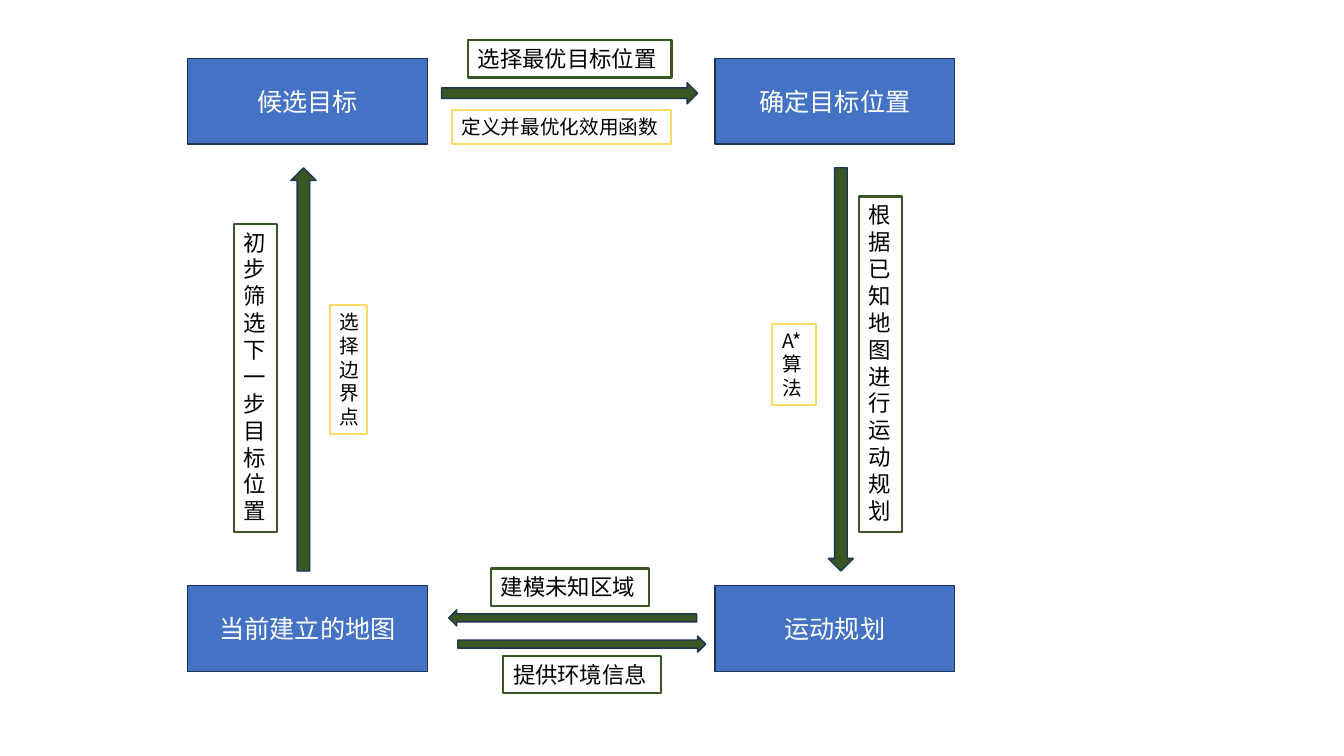
from dataclasses import dataclass

import pptx
import pptx.dml.color
import pptx.enum.shapes
import pptx.enum.text
import pptx.oxml.ns
import pptx.util
from lxml import etree

Inches = pptx.util.Inches
Pt = pptx.util.Pt
Shapes = pptx.enum.shapes.MSO_SHAPE


@dataclass(frozen=True)
class Theme:
    font: str = "Noto Sans CJK SC"
    stage_fill: str = "4472C4"
    outline: str = "1E3256"
    green: str = "385723"
    yellow: str = "FFD966"
    light_text: str = "FFFFFF"
    dark_text: str = "000000"
    stage_size: int = 18
    step_size: int = 16
    method_size: int = 14
    thin_line: float = 1
    label_line: float = 1.5


class LoopDiagram:
    def __init__(self, slide, theme):
        self.slide = slide
        self.theme = theme

    def _shape(self, kind, box, line_color, line_width, fill=None):
        shape = self.slide.shapes.add_shape(kind, *map(Inches, box))
        shape.shadow.inherit = False
        if fill:
            shape.fill.solid()
            shape.fill.fore_color.rgb = pptx.dml.color.RGBColor.from_string(fill)
        else:
            shape.fill.background()
        shape.line.color.rgb = pptx.dml.color.RGBColor.from_string(line_color)
        shape.line.width = Pt(line_width)
        return shape

    def _write(self, shape, text, size, color, alignment, anchor):
        frame = shape.text_frame
        frame.word_wrap = True
        frame.vertical_anchor = anchor
        paragraph = frame.paragraphs[0]
        paragraph.text = text
        paragraph.alignment = alignment
        font = paragraph.font
        font.size = Pt(size)
        font.color.rgb = pptx.dml.color.RGBColor.from_string(color)
        font.name = self.theme.font
        # East Asian text takes its typeface from a:ea, which follows a:latin
        latin = paragraph._p.pPr.find(".//" + pptx.oxml.ns.qn("a:latin"))
        east_asian = etree.Element(pptx.oxml.ns.qn("a:ea"), typeface=self.theme.font)
        latin.addnext(east_asian)

    def stage(self, text, left, top):
        theme = self.theme
        shape = self._shape(Shapes.RECTANGLE, (left, top, 2.38, 0.85),
                            theme.outline, theme.thin_line, theme.stage_fill)
        self._write(shape, text, theme.stage_size, theme.light_text,
                    pptx.enum.text.PP_ALIGN.CENTER, pptx.enum.text.MSO_ANCHOR.MIDDLE)

    def arrow(self, box, rotation=0):
        shape = self._shape(Shapes.RIGHT_ARROW, box, self.theme.outline,
                            self.theme.thin_line, self.theme.green)
        shape.rotation = rotation

    def _label(self, text, box, color, size):
        shape = self._shape(Shapes.RECTANGLE, box, color, self.theme.label_line)
        self._write(shape, text, size, self.theme.dark_text,
                    pptx.enum.text.PP_ALIGN.LEFT, pptx.enum.text.MSO_ANCHOR.TOP)
        shape.text_frame.auto_size = pptx.enum.text.MSO_AUTO_SIZE.SHAPE_TO_FIT_TEXT

    def step(self, text, *box):
        """Green label saying what happens along an arrow."""
        self._label(text, box, self.theme.green, self.theme.step_size)

    def method(self, text, *box):
        """Yellow label naming the technique used along an arrow."""
        self._label(text, box, self.theme.yellow, self.theme.method_size)


def main():
    presentation = pptx.Presentation()
    presentation.slide_width = Inches(13.33)
    presentation.slide_height = Inches(7.5)
    slide = presentation.slides.add_slide(presentation.slide_layouts[6])
    diagram = LoopDiagram(slide, Theme())

    left_column, right_column = 1.86, 7.09
    top_row, bottom_row = 0.58, 5.81
    diagram.stage("候选目标", left_column, top_row)
    diagram.stage("确定目标位置", right_column, top_row)
    diagram.stage("当前建立的地图", left_column, bottom_row)
    diagram.stage("运动规划", right_column, bottom_row)

    diagram.arrow((4.38, 0.82, 2.54, 0.21))
    diagram.arrow((6.34, 3.54, 4, 0.25), rotation=90)
    diagram.arrow((4.45, 6.05, 2.46, 0.16), rotation=180)
    diagram.arrow((4.54, 6.31, 2.46, 0.16))
    diagram.arrow((1.01, 3.54, 4, 0.25), rotation=270)

    diagram.step("选择最优目标位置", 4.64, 0.4, 2.02, 0.37)
    diagram.step("根据已知地图进行运动规划", 8.52, 1.95, 0.43, 3.33)
    diagram.step("建模未知区域", 4.87, 5.64, 1.57, 0.37)
    diagram.step("提供环境信息", 4.99, 6.51, 1.57, 0.37)
    diagram.step("初步筛选下一步目标位置", 2.32, 2.22, 0.43, 3.06)

    diagram.method("定义并最优化效用函数", 4.48, 1.09, 2.18, 0.34)
    diagram.method("A*\n算法", 7.66, 3.21, 0.43, 0.81)
    diagram.method("选择边界点", 3.27, 3.03, 0.37, 1.28)

    presentation.save("out.pptx")


if __name__ == "__main__":
    main()
